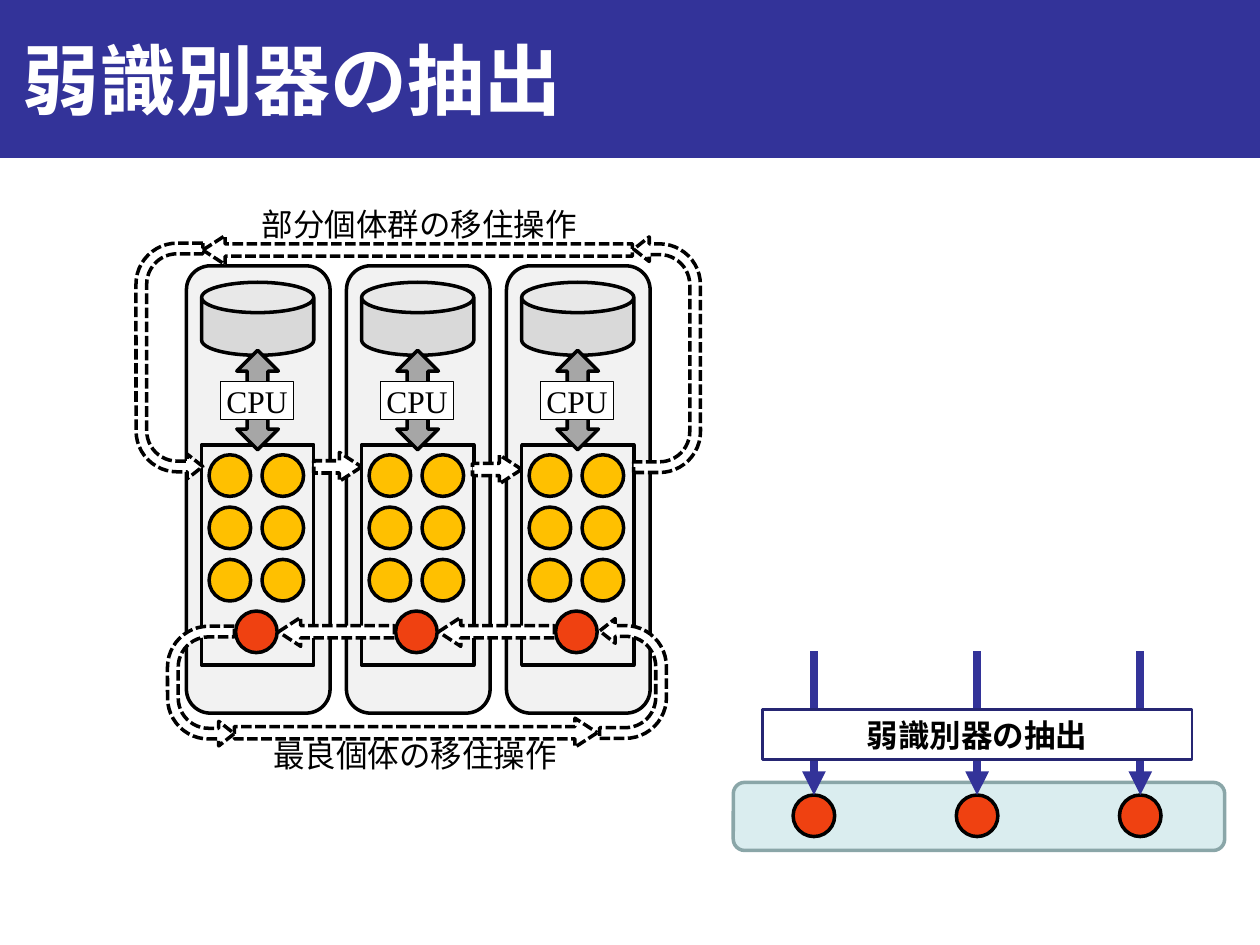
from lxml.etree import SubElement
from pptx import Presentation
from pptx.dml.color import RGBColor
from pptx.enum.dml import MSO_LINE
from pptx.enum.shapes import MSO_CONNECTOR, MSO_SHAPE
from pptx.enum.text import MSO_ANCHOR, MSO_AUTO_SIZE, PP_ALIGN
from pptx.oxml.ns import qn
from pptx.util import Inches, Pt

BLUE, BLACK, WHITE = "333399", "000000", "FFFFFF"
GREY, GOLD, RED = "F2F2F2", "FFC000", "EF4111"
DOT = 0.33
STEP = 1.27  # distance between neighbouring CPU nodes


def color(code):
    return RGBColor.from_string(code)


def assign(item, values):
    for name, value in values.items():
        setattr(item, name, value)


def write(shape, text, size=18, face="Arial", ink=BLACK, bold=False,
          align=PP_ALIGN.CENTER, **frame):
    """Put one formatted line of text in a shape."""
    assign(shape.text_frame, {"word_wrap": True, **frame})
    para = shape.text_frame.paragraphs[0]
    para.alignment = align
    run = para.add_run()
    run.text = text
    assign(run.font, {"size": Pt(size), "name": face, "bold": bold})
    run.font.color.rgb = color(ink)


def draw(shapes, kind, box, fill, line=BLACK, width=2, adjust=()):
    """Add a filled preset shape."""
    shape = shapes.add_shape(kind, *map(Inches, box))
    shape.shadow.inherit = False
    shape.fill.solid()
    shape.fill.fore_color.rgb = color(fill)
    shape.line.color.rgb = color(line)
    shape.line.width = Pt(width)
    for index, value in enumerate(adjust):
        shape.adjustments[index] = value
    return shape


def dot(shapes, left, top, fill):
    draw(shapes, MSO_SHAPE.OVAL, (left, top, DOT, DOT), fill)


def move(shapes, box, turn=0):
    """Add a dashed straight migration arrow."""
    arrow = draw(shapes, MSO_SHAPE.LEFT_ARROW, box, WHITE, adjust=(0.423, 0.77))
    assign(arrow, {"rotation": turn})
    arrow.line.dash_style = MSO_LINE.SQUARE_DOT
    return arrow


def bend(shapes, box, turn):
    """Add a dashed, mirrored U-turn migration arrow."""
    arrow = draw(shapes, MSO_SHAPE.U_TURN_ARROW, box, WHITE,
                 adjust=(0.16, 0.184, 0.233, 0.615, 1))
    arrow.rotation = turn
    arrow.element.spPr.find(qn("a:xfrm")).set("flipH", "1")
    arrow.line.dash_style = MSO_LINE.SQUARE_DOT


def label(shapes, box, text):
    shape = shapes.add_textbox(*map(Inches, box))
    write(shape, text, align=PP_ALIGN.LEFT, word_wrap=False,
          auto_size=MSO_AUTO_SIZE.SHAPE_TO_FIT_TEXT)


def node(shapes, left):
    """Add one CPU node: store, processor and its individuals."""
    parts = shapes.add_group_shape().shapes
    draw(parts, MSO_SHAPE.ROUNDED_RECTANGLE, (left, 2.11, 1.14, 3.55), GREY)
    draw(parts, MSO_SHAPE.RECTANGLE, (left + 0.12, 3.53, 0.89, 1.75), GREY)
    for row in range(3):
        for col in range(2):
            dot(parts, left + 0.18 + 0.42 * col, 3.61 + 0.415 * row, GOLD)
    draw(parts, MSO_SHAPE.CAN, (left + 0.12, 2.24, 0.89, 0.58), "D9D9D9",
         adjust=(0.416,))
    draw(parts, MSO_SHAPE.UP_DOWN_ARROW, (left + 0.4, 2.78, 0.33, 0.79), "A6A6A6")
    chip = draw(parts, MSO_SHAPE.RECTANGLE, (left + 0.27, 3.03, 0.58, 0.3),
                WHITE, width=0.75)
    write(chip, "CPU", face="Times New Roman", margin_left=0, margin_right=0,
          margin_top=0, margin_bottom=0)
    dot(parts, left + 0.39, 4.85, RED)


def pointer(shapes, x, top, end):
    """Add a thick blue line with an arrowhead at its end."""
    line = shapes.add_connector(MSO_CONNECTOR.STRAIGHT,
                                *map(Inches, (x, top, x, end)))
    line.line.color.rgb = color(BLUE)
    line.line.width = Pt(4.5)
    SubElement(line.line._get_or_add_ln(), qn("a:tailEnd"), type="triangle")
    SubElement(line.element.spPr, qn("a:effectLst"))


def heading(slide):
    """Add the blue band and place the title on it."""
    draw(slide.shapes, MSO_SHAPE.RECTANGLE, (0, 0, 10, 1.25), BLUE, BLUE, 0.75)
    title = slide.shapes.title
    assign(title, {"left": Inches(0.08), "top": Inches(0),
                   "width": Inches(9.92), "height": Inches(1.25)})
    write(title, "弱識別器の抽出", 44, "Times New Roman", WHITE, True,
          PP_ALIGN.JUSTIFY, vertical_anchor=MSO_ANCHOR.MIDDLE)
    title.element.getparent().append(title.element)  # in front of the band


def migration(shapes):
    """Add the nodes and the two rings of migration arrows."""
    # Ring of the best individuals, behind the right-hand nodes
    node(shapes, 1.48)
    move(shapes, (1.86, 5.7, 2.88, 0.23), 180)
    label(shapes, (2.07, 5.79, 2.47, 0.4), "最良個体の移住操作")
    bend(shapes, (1.12, 5.18, 0.95, 0.53), 270)
    for index in (1, 2):
        node(shapes, 1.48 + STEP * index)
    bend(shapes, (4.55, 5.12, 0.95, 0.53), 90)
    for index in range(2):
        move(shapes, (2.21 + STEP * index, 4.9, 0.92, 0.23))

    # Ring of the subpopulations
    bend(shapes, (0.41, 2.6, 1.87, 0.53), 270)
    move(shapes, (1.61, 1.87, 3.41, 0.23))
    bend(shapes, (4.36, 2.55, 1.87, 0.53), 90)
    move(shapes, (2.49, 3.59, 0.38, 0.23), 180)
    move(shapes, (3.75, 3.61, 0.39, 0.23), 180)
    label(shapes, (1.98, 1.58, 2.73, 0.4), "部分個体群の移住操作")


def extraction(shapes):
    """Add the weak classifiers taken from the nodes."""
    draw(shapes, MSO_SHAPE.ROUNDED_RECTANGLE, (5.82, 6.21, 3.9, 0.54),
         "DAEDEF", "8AA6A8")
    for index in range(3):
        x = 6.46 + 1.295 * index
        dot(shapes, x - DOT / 2, 6.31, RED)
        pointer(shapes, x, 5.17, 6.31)
    box = draw(shapes, MSO_SHAPE.RECTANGLE, (6.05, 5.63, 3.41, 0.4), WHITE,
               "262673", 1.5)
    write(box, "弱識別器の抽出", bold=True)


def main():
    deck = Presentation()
    assign(deck, {"slide_width": Inches(10), "slide_height": Inches(7.5)})
    slide = deck.slides.add_slide(deck.slide_layouts[5])
    heading(slide)
    migration(slide.shapes)
    extraction(slide.shapes)
    deck.save("out.pptx")


if __name__ == "__main__":
    main()
